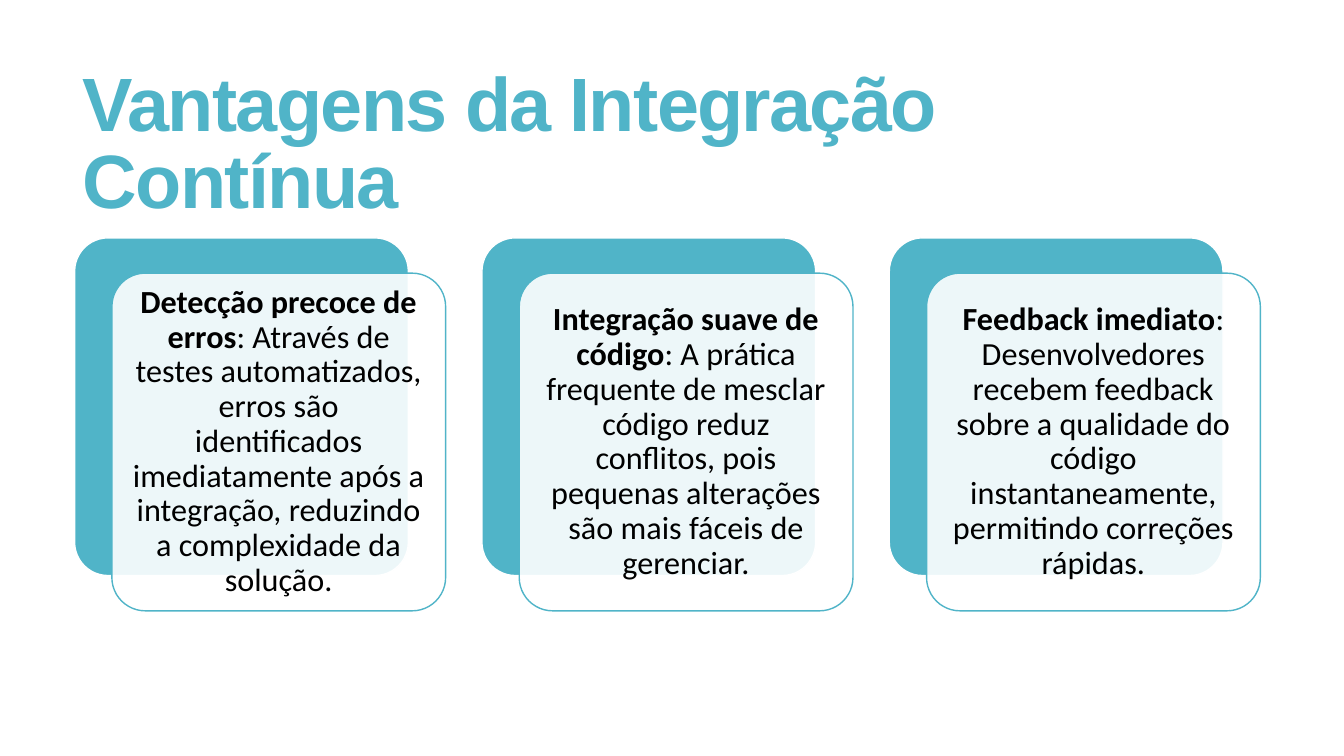
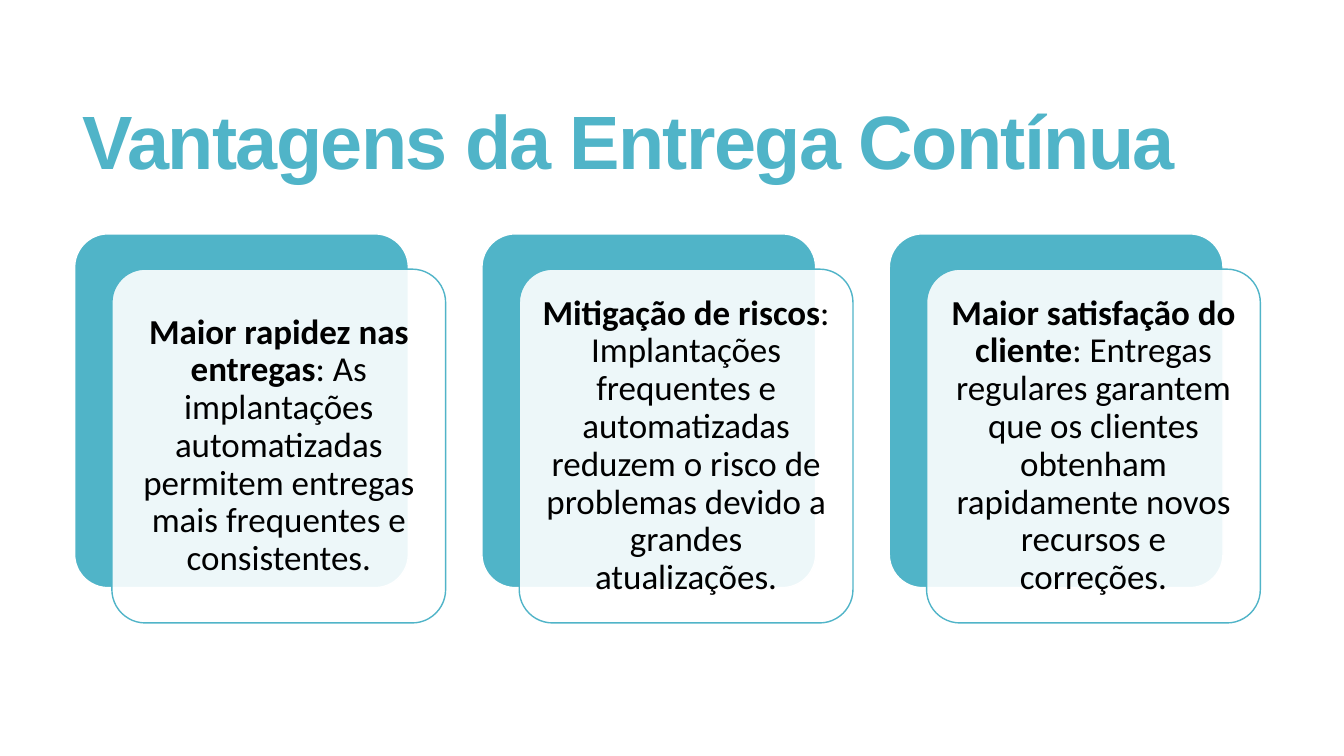
from lxml import etree
from pptx import Presentation
from pptx.dml.color import RGBColor
from pptx.enum import shapes, text
from pptx.oxml.ns import qn
from pptx.util import Inches, Pt

TEAL = RGBColor(0x50, 0xB4, 0xC8)
WHITE = RGBColor(0xFF, 0xFF, 0xFF)
BLACK = RGBColor(0x00, 0x00, 0x00)

# Card grid, in inches
LEFT, PITCH, CARD_W = 0.74, 4.04, 3.31
SHIFT_X, SHIFT_Y = 0.37, 0.35


class Deck:
    """Holds the shared style and the current slide."""

    title_font, body_font = "Arial", "Calibri"

    def __init__(self):
        self.prs = Presentation()
        self.prs.slide_width, self.prs.slide_height = Inches(13.33), Inches(7.5)
        self.s = None

    def slide(self, title):
        self.s = self.prs.slides.add_slide(self.prs.slide_layouts[5])
        sp = self.s.shapes.title
        sp.left, sp.top = Inches(0.72), Inches(0.55)
        sp.width, sp.height = Inches(11.78), Inches(1.81)
        tf = sp.text_frame
        tf.text = title
        tf.word_wrap = True
        tf.auto_size = text.MSO_AUTO_SIZE.NONE
        tf.vertical_anchor = text.MSO_ANCHOR.MIDDLE
        p = tf.paragraphs[0]
        p.alignment = text.PP_ALIGN.LEFT
        p.line_spacing = 0.85
        f = p.font
        f.name, f.size, f.bold = self.title_font, Pt(54), True
        f.color.rgb = TEAL
        p.runs[0].font._element.set("spc", "-120")

    def panel(self, x, y, h, fill, line, opacity=100):
        sp = self.s.shapes.add_shape(
            shapes.MSO_SHAPE.ROUNDED_RECTANGLE,
            Inches(x), Inches(y), Inches(CARD_W), Inches(h))
        sp.adjustments[0] = 0.1
        sp.shadow.inherit = False
        sp.fill.solid()
        sp.fill.fore_color.rgb = fill
        if opacity < 100:
            color = sp._element.spPr.find(qn("a:solidFill")).find(qn("a:srgbClr"))
            etree.SubElement(color, qn("a:alpha"), val=str(opacity * 1000))
        sp.line.color.rgb = line
        sp.line.width = Pt(1)
        return sp

    def card(self, x, y, h, size, lead, rest):
        # Solid panel behind, translucent panel with the text in front
        self.panel(x, y, h, TEAL, WHITE)
        sp = self.panel(x + SHIFT_X, y + SHIFT_Y, h, WHITE, TEAL, opacity=90)
        tf = sp.text_frame
        tf.word_wrap = True
        tf.vertical_anchor = text.MSO_ANCHOR.MIDDLE
        tf.margin_left = tf.margin_right = Inches(0.1)
        tf.margin_top = tf.margin_bottom = Inches(0.1)
        p = tf.paragraphs[0]
        p.alignment = text.PP_ALIGN.CENTER
        p.line_spacing = 0.9
        p.font.name, p.font.size = self.body_font, Pt(size)
        p.font.color.rgb = BLACK
        for words, bold in ((lead, True), (": " + rest, False)):
            r = p.add_run()
            r.text = words
            r.font.bold = bold

    def cards(self, y, h, size, items):
        for i, (lead, rest) in enumerate(items):
            self.card(LEFT + i * PITCH, y, h, size, lead, rest)


def main():
    deck = Deck()

    # Continuous integration
    deck.slide("Vantagens da Integração Contínua")
    deck.cards(2.36, 3.35, 23, [
        ("Detecção precoce de erros",
         "Através de testes automatizados, erros são identificados "
         "imediatamente após a integração, reduzindo a complexidade da solução."),
        ("Integração suave de código",
         "A prática frequente de mesclar código reduz conflitos, "
         "pois pequenas alterações são mais fáceis de gerenciar."),
        ("Feedback imediato",
         "Desenvolvedores recebem feedback sobre a qualidade do código "
         "instantaneamente, permitindo correções rápidas."),
    ])

    # Continuous delivery
    deck.slide("Vantagens da Entrega Contínua")
    deck.cards(2.32, 3.51, 25, [
        ("Maior rapidez nas entregas",
         "As implantações automatizadas permitem entregas "
         "mais frequentes e consistentes."),
        ("Mitigação de riscos",
         "Implantações frequentes e automatizadas reduzem o risco "
         "de problemas devido a grandes atualizações."),
        ("Maior satisfação do cliente",
         "Entregas regulares garantem que os clientes obtenham "
         "rapidamente novos recursos e correções."),
    ])

    deck.prs.save("out.pptx")


if __name__ == "__main__":
    main()
